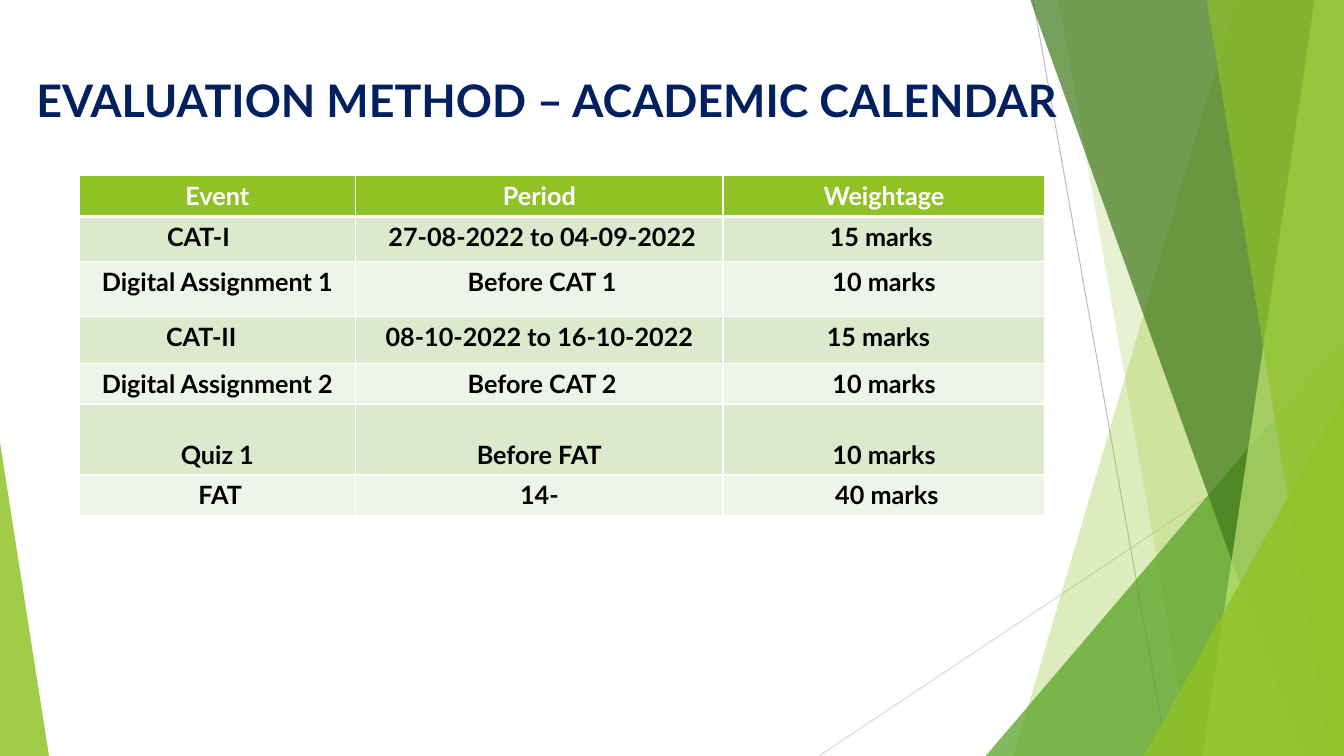
from lxml.etree import SubElement
from pptx import Presentation
from pptx.dml.color import RGBColor
from pptx.enum.shapes import MSO_CONNECTOR
from pptx.enum.text import MSO_ANCHOR, PP_ALIGN
from pptx.oxml.ns import qn
from pptx.util import Pt

W, H = 960, 540
FONT = "Lato"
TITLE = "EVALUATION METHOD – ACADEMIC CALENDAR"

# Each cell: text, sideways shift of its centre
HEADER = [("Event", 0), ("Period", 0), ("Weightage", 0)]
EVENTS = [
    [("CAT-I", -13.5), ("27-08-2022 to 04-09-2022", 2), ("15 marks", -2)],
    [("Digital Assignment 1", 0), ("Before CAT 1", 2), ("10 marks", 0)],
    [("CAT-II", -11.5), ("08-10-2022 to 16-10-2022", 0), ("15 marks", -4)],
    [("Digital Assignment 2", 0), ("Before CAT 2", 2), ("10 marks", 0)],
    [("Quiz 1", 0), ("Before FAT", 0), ("10 marks", 0)],
    [("FAT", 2), ("14-", 0), ("40 marks", 2)],
]
QUIZ_ROW = 5
TABLE_LEFT, TABLE_TOP = 56.5, 125.5
COL_WIDTHS = [197.5, 262.5, 230]
ROW_HEIGHTS = [29.2, 32.2, 39, 33.6, 29.2, 50.6, 29.2]

GUIDE_LINES = [((585, H), (W, 290), "D9D9D9"), ((738, 0), (834, H), "BFBFBF")]
# Corners, colour, opacity in percent
FACETS = [
    ([(883, 0), (723.5, H), (W, H), (W, 0)], "90C226", 30),
    ([(756, 0), (851, H), (W, H), (W, 0)], "90C226", 20),
    ([(703.5, H), (W, 240), (W, H)], "54A021", 72),
    ([(736, 0), (930, H), (W, H), (W, 0)], "3F7819", 70),
    ([(939, 0), (859, H), (W, H), (W, 0)], "C0E474", 70),
    ([(862, 0), (950, H), (W, H), (W, 0)], "90C226", 65),
    ([(817, H), (W, 283), (W, H)], "90C226", 80),
    ([(0, 316), (35, H), (0, H)], "90C226", 85),
]


def rgb(value):
    return RGBColor.from_string(value)


def add_guide(s, start, end, color):
    line = s.shapes.add_connector(
        MSO_CONNECTOR.STRAIGHT, *(Pt(v) for v in start + end))
    line.line.color.rgb = rgb(color)
    line.line.width = Pt(0.75)
    SubElement(line.element.spPr, qn("a:effectLst"))


def add_facet(s, corners, color, opacity):
    outline = s.shapes.build_freeform(*corners[0], scale=Pt(1))
    outline.add_line_segments(corners[1:], close=True)
    sp = outline.convert_to_shape()
    sp.shadow.inherit = False
    sp.line.fill.background()
    sp.fill.solid()
    sp.fill.fore_color.rgb = rgb(color)
    clr = sp.element.spPr.find(".//" + qn("a:srgbClr"))
    SubElement(clr, qn("a:alpha"), val=str(opacity * 1000))


def add_borders(cell, top, bottom):
    tc_pr = cell._tc.get_or_add_tcPr()
    for side, width in (("L", 1), ("R", 1), ("T", top), ("B", bottom)):
        ln = SubElement(tc_pr, qn("a:ln" + side), w=str(Pt(width)))
        fill = SubElement(ln, qn("a:solidFill"))
        SubElement(fill, qn("a:srgbClr"), val="FFFFFF")


def format_cell(cell, row, text, shift):
    add_borders(cell, 3 if row == 1 else 1, 3 if row == 0 else 1)
    cell.fill.solid()
    color = "90C226" if row == 0 else "DBE9CD" if row % 2 else "EEF4E8"
    cell.fill.fore_color.rgb = rgb(color)
    cell.margin_left = Pt(7.2 + max(0, 2 * shift))
    cell.margin_right = Pt(7.2 + max(0, -2 * shift))
    cell.vertical_anchor = MSO_ANCHOR.BOTTOM if row == QUIZ_ROW else MSO_ANCHOR.TOP
    cell.text = text
    p = cell.text_frame.paragraphs[0]
    p.alignment = PP_ALIGN.CENTER
    format_font(p, 18, "000000" if row else "FFFFFF")


def format_font(p, size, color):
    p.font.name = FONT
    p.font.size = Pt(size)
    p.font.bold = True
    p.font.color.rgb = rgb(color)


def add_schedule(s):
    rows = [HEADER] + EVENTS
    table = s.shapes.add_table(
        len(rows), len(HEADER), Pt(TABLE_LEFT), Pt(TABLE_TOP),
        Pt(sum(COL_WIDTHS)), Pt(sum(ROW_HEIGHTS))).table
    for column, width in zip(table.columns, COL_WIDTHS):
        column.width = Pt(width)
    for r, cells in enumerate(rows):
        table.rows[r].height = Pt(ROW_HEIGHTS[r])
        for c, (text, shift) in enumerate(cells):
            format_cell(table.cell(r, c), r, text, shift)


def add_title(s):
    title = s.shapes.title
    title.left, title.top, title.width, title.height = (
        Pt(v) for v in (18.7, 48.2, 808, 103.7))
    tf = title.text_frame
    tf.text = TITLE
    tf.vertical_anchor = MSO_ANCHOR.TOP
    p = tf.paragraphs[0]
    p.alignment = PP_ALIGN.LEFT
    format_font(p, 32, "002060")
    # Bring the title in front of the facets
    title.element.getparent().append(title.element)


def main():
    prs = Presentation()
    prs.slide_width, prs.slide_height = Pt(W), Pt(H)
    s = prs.slides.add_slide(prs.slide_layouts[5])
    for guide in GUIDE_LINES:
        add_guide(s, *guide)
    for facet in FACETS:
        add_facet(s, *facet)
    add_title(s)
    add_schedule(s)
    prs.save("out.pptx")


if __name__ == "__main__":
    main()
